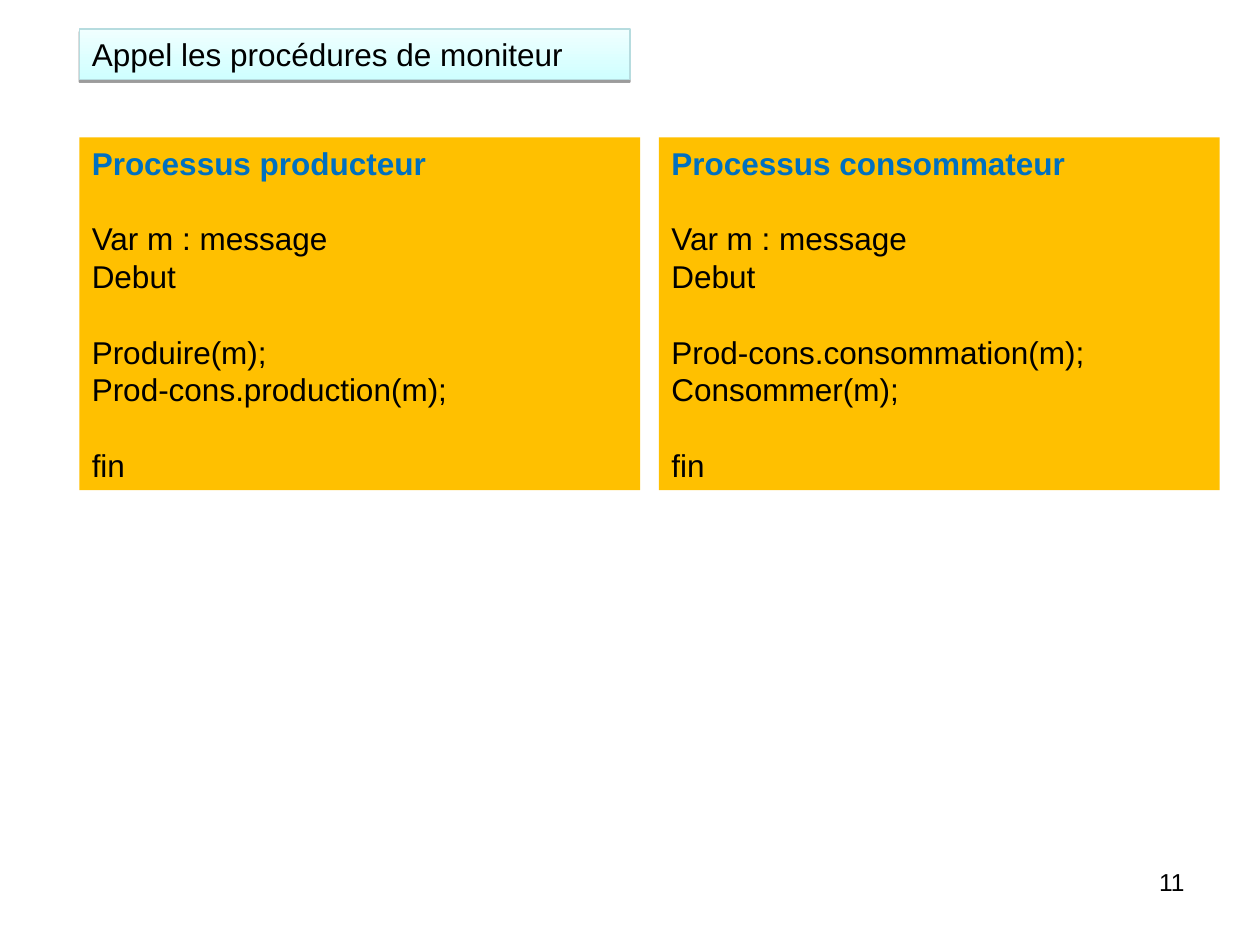
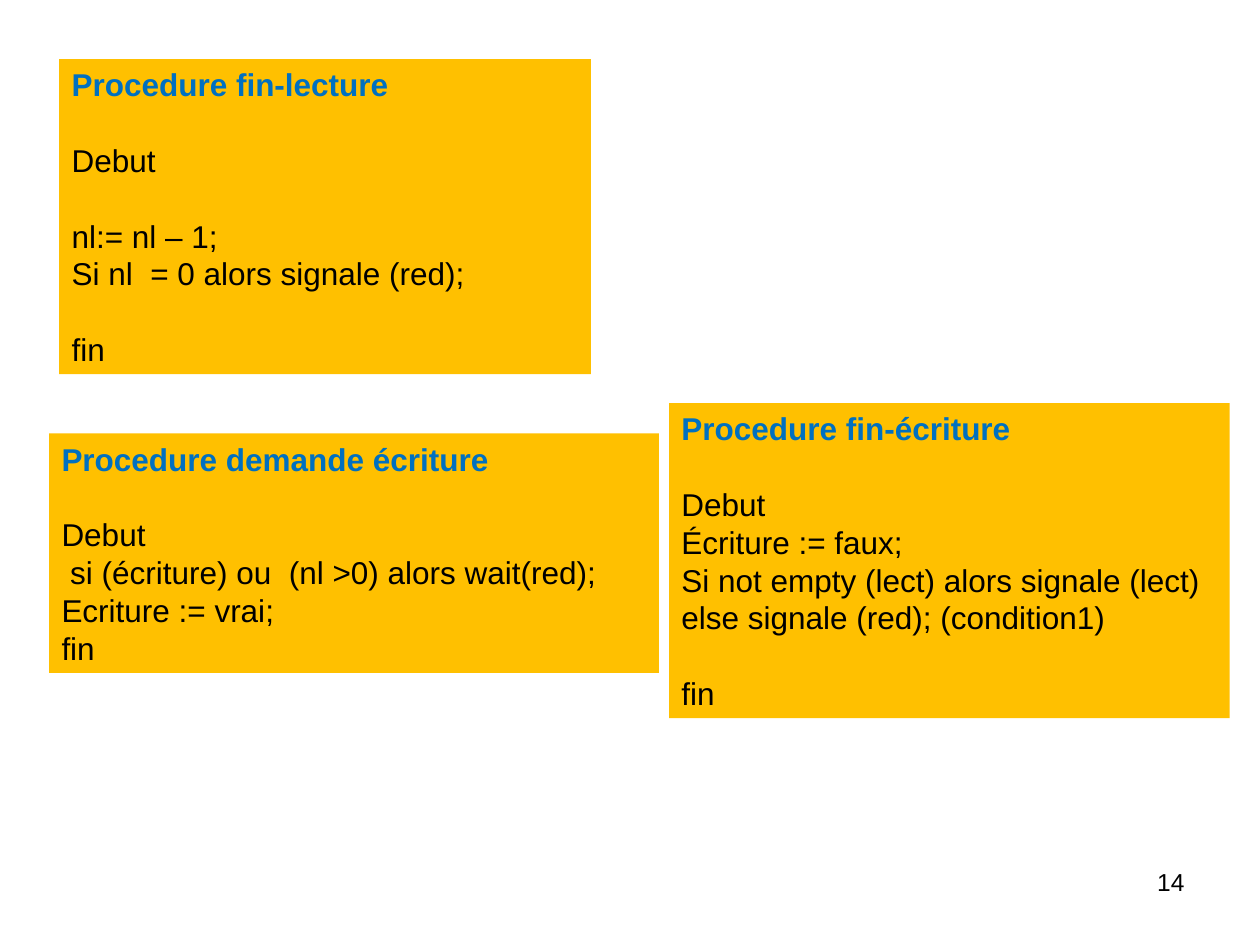
from lxml import etree
from pptx import Presentation
from pptx.dml.color import RGBColor
from pptx.enum.shapes import MSO_SHAPE
from pptx.enum.text import MSO_ANCHOR, MSO_AUTO_SIZE, PP_ALIGN
from pptx.oxml.ns import qn
from pptx.util import Inches, Pt

RECTANGLE = MSO_SHAPE.RECTANGLE
TOP = MSO_ANCHOR.TOP
NO_AUTOFIT = MSO_AUTO_SIZE.NONE
LEFT, RIGHT = PP_ALIGN.LEFT, PP_ALIGN.RIGHT

BLACK = RGBColor(0x00, 0x00, 0x00)
BLUE = RGBColor(0x00, 0x70, 0xC0)
AMBER = RGBColor(0xFF, 0xC0, 0x00)
PALE_CYAN = RGBColor(0xF0, 0xFF, 0xFF)
CYAN = RGBColor(0xCF, 0xFF, 0xFF)
CYAN_EDGE = RGBColor(0xB6, 0xDC, 0xDF)

TITLE_ONLY, BLANK = 5, 6
FONT = "Arial"
LINE_HEIGHT = Inches(0.3)
PADDING = Inches(0.05)


class Deck:
    """Shared style and the slide being built."""

    def __init__(self):
        self.prs = Presentation()
        self.prs.slide_width, self.prs.slide_height = Inches(10), Inches(7.5)
        self.slide = None

    def new_slide(self, layout, number):
        self.slide = self.prs.slides.add_slide(self.prs.slide_layouts[layout])
        box = self.slide.shapes.add_textbox(
            Inches(7.17), Inches(6.83), Inches(2.33), Inches(0.52))
        self.prepare(box.text_frame)
        self.set_text(box.text_frame.paragraphs[0], number, size=14, align=RIGHT)

    def prepare(self, frame):
        frame.word_wrap = True
        frame.auto_size = NO_AUTOFIT
        frame.vertical_anchor = TOP

    def set_text(self, paragraph, text, size=18, color=BLACK, bold=False, align=LEFT):
        paragraph.text = text
        paragraph.alignment = align
        for run in paragraph.runs:
            run.font.name, run.font.size = FONT, Pt(size)
            run.font.color.rgb, run.font.bold = color, bold

    def title(self, text, left, top, width):
        title = self.slide.shapes.title
        title.left, title.top = Inches(left), Inches(top)
        title.width, title.height = Inches(width), LINE_HEIGHT + 2 * PADDING
        self.prepare(title.text_frame)
        paragraph = title.text_frame.paragraphs[0]
        self.set_text(paragraph, text)
        paragraph.line_spacing = LINE_HEIGHT

        # Vertical gradient with a thin edge
        title.fill.gradient()
        title.fill.gradient_angle = 270
        for stop, color in zip(title.fill.gradient_stops, (PALE_CYAN, CYAN)):
            stop.color.rgb = color
        title.line.color.rgb = CYAN_EDGE
        title.line.width = Pt(0.75)

        # Hard shadow straight below
        title.shadow.inherit = False
        effects = title.element.spPr.find(qn("a:effectLst"))
        shadow = etree.SubElement(effects, qn("a:outerShdw"), blurRad="0",
                                  dist=str(Pt(1.6)), dir="5400000", rotWithShape="0")
        tint = etree.SubElement(shadow, qn("a:srgbClr"), val=str(BLACK))
        etree.SubElement(tint, qn("a:alpha"), val="38000")

    def code_panel(self, left, top, width, heading, *blocks):
        """Heading and blocks of code, set one line apart."""
        line_count = 1 + sum(len(block) + 1 for block in blocks)
        panel = self.slide.shapes.add_shape(
            RECTANGLE, Inches(left), Inches(top), Inches(width),
            line_count * LINE_HEIGHT + 2 * PADDING)
        panel.shadow.inherit = False
        panel.fill.solid()
        panel.fill.fore_color.rgb = AMBER
        panel.line.fill.background()

        frame = panel.text_frame
        self.prepare(frame)
        self.set_text(frame.paragraphs[0], heading, color=BLUE, bold=True)
        for block in blocks:
            for index, code in enumerate(block):
                paragraph = frame.add_paragraph()
                self.set_text(paragraph, code)
                if index == 0:
                    paragraph.space_before = LINE_HEIGHT
        for paragraph in frame.paragraphs:
            paragraph.line_spacing = LINE_HEIGHT


def main():
    deck = Deck()

    # Calls to the monitor procedures
    deck.new_slide(TITLE_ONLY, "11")
    deck.title("Appel les procédures de moniteur", 0.63, 0.23, 4.37)
    processes = [
        ("Processus producteur", ["Produire(m);", "Prod-cons.production(m);"]),
        ("Processus consommateur", ["Prod-cons.consommation(m);", "Consommer(m);"]),
    ]
    for column, (heading, calls) in enumerate(processes):
        deck.code_panel(0.63 + column * 4.6, 1.09, 4.45, heading,
                        ["Var m : message", "Debut"], calls, ["fin"])

    # Reader and writer procedures
    deck.new_slide(BLANK, "14")
    deck.code_panel(0.47, 0.47, 4.22, "Procedure fin-lecture",
                    ["Debut"],
                    ["nl:= nl – 1;", "Si nl  = 0 alors signale (red);"],
                    ["fin"])
    deck.code_panel(0.39, 3.44, 4.84, "Procedure demande écriture",
                    ["Debut", " si (écriture) ou  (nl >0) alors wait(red);",
                     "Ecriture := vrai;", "fin"])
    deck.code_panel(5.31, 3.2, 4.45, "Procedure fin-écriture",
                    ["Debut", "Écriture := faux;",
                     "Si not empty (lect) alors signale (lect)",
                     "else signale (red); (condition1)"],
                    ["fin"])

    deck.prs.save("out.pptx")


if __name__ == "__main__":
    main()
